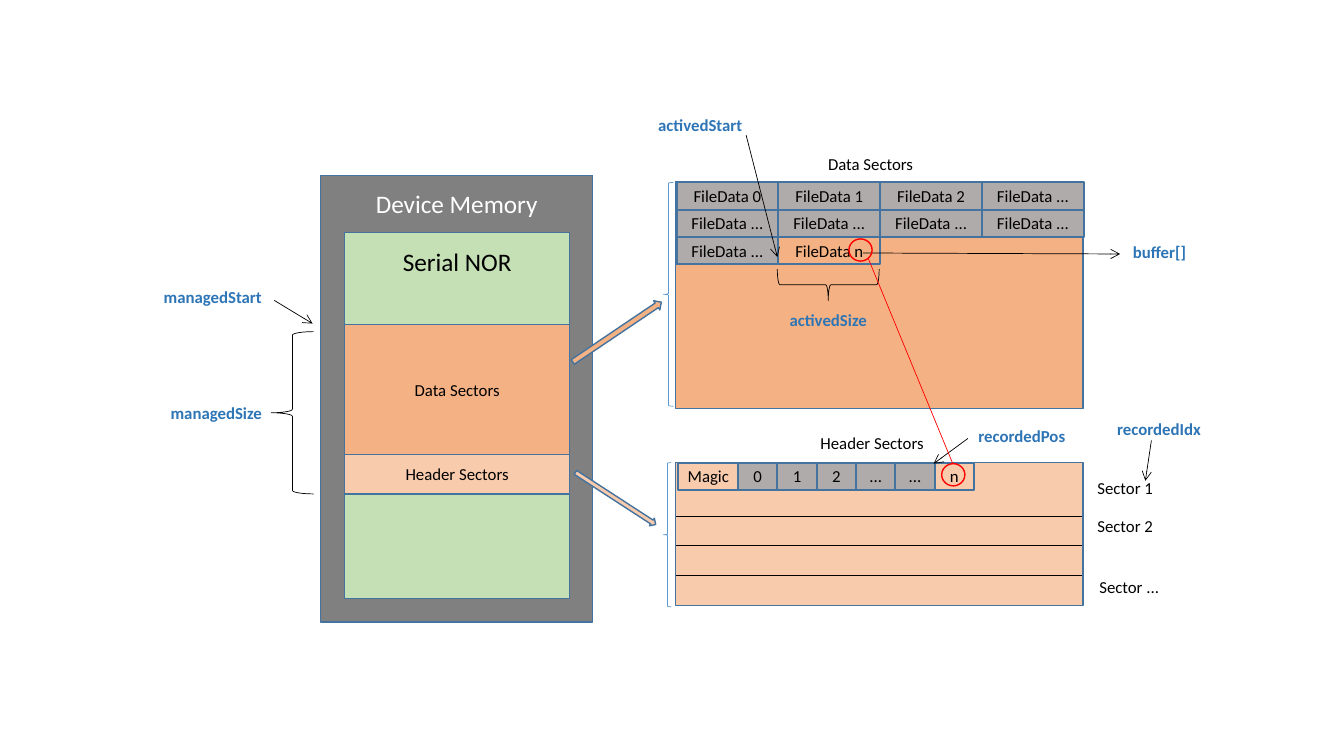
from dataclasses import dataclass

import pptx
import pptx.dml.color
import pptx.enum.shapes
import pptx.enum.text
import pptx.oxml
import pptx.oxml.ns
import pptx.util

Inches = pptx.util.Inches
Pt = pptx.util.Pt
Preset = pptx.enum.shapes.MSO_SHAPE
Anchor = pptx.enum.text.MSO_ANCHOR


@dataclass(frozen=True)
class Theme:
    font: str = "Calibri"
    heading: int = 18
    body: int = 12
    thin: float = 0.5
    medium: float = 1
    thick: float = 1.5
    black: str = "000000"
    white: str = "FFFFFF"
    device: str = "808080"
    flash: str = "C5E0B4"
    data: str = "F4B183"
    header: str = "F8CBAD"
    used: str = "AFABAB"
    border: str = "43739E"
    field: str = "2E75B6"
    span: str = "5B9BD5"
    mark: str = "FF0000"


class Diagram:
    def __init__(self, slide, theme):
        self.slide = slide
        self.theme = theme

    def color(self, value):
        return pptx.dml.color.RGBColor.from_string(value)

    def set_text(self, shape, text, size, color, bold=False, anchor=Anchor.MIDDLE, top=0):
        frame = shape.text_frame
        frame.word_wrap = True
        frame.margin_left = frame.margin_right = frame.margin_bottom = 0
        frame.margin_top = Inches(top)
        frame.vertical_anchor = anchor
        frame.text = text
        paragraph = frame.paragraphs[0]
        paragraph.alignment = pptx.enum.text.PP_ALIGN.CENTER
        for run in paragraph.runs:
            run.font.name = self.theme.font
            run.font.size = Pt(size)
            run.font.bold = bold
            run.font.color.rgb = self.color(color)

    def shape(self, preset, box, fill=None, line=None, width=None, rotation=0):
        shape = self.slide.shapes.add_shape(preset, *map(Inches, box))
        shape.shadow.inherit = False
        shape.rotation = rotation
        if fill:
            shape.fill.solid()
            shape.fill.fore_color.rgb = self.color(fill)
        else:
            shape.fill.background()
        shape.line.color.rgb = self.color(line or self.theme.border)
        shape.line.width = Pt(width or self.theme.medium)
        return shape

    def block(self, box, fill, text=None):
        block = self.shape(Preset.RECTANGLE, box, fill)
        if text:
            self.set_text(block, text, self.theme.body, self.theme.black)

    def container(self, box, fill, heading, color):
        container = self.shape(Preset.RECTANGLE, box, fill)
        self.set_text(container, heading, self.theme.heading, color, anchor=Anchor.TOP, top=0.13)

    def cell(self, box, text, fill=None):
        cell = self.shape(Preset.RECTANGLE, box, fill, width=self.theme.thick)
        self.set_text(cell, text, self.theme.body, self.theme.black)

    def label(self, left, top, width, text, field=False):
        label = self.slide.shapes.add_textbox(*map(Inches, (left, top, width, 0.38)))
        color = self.theme.field if field else self.theme.black
        self.set_text(label, text, self.theme.body, color, field)

    def brace(self, box, color, rotation=0):
        self.shape(Preset.LEFT_BRACE, box, line=color, width=self.theme.thin, rotation=rotation)

    def line(self, start, end, color=None, arrow=False):
        line = self.slide.shapes.add_connector(
            pptx.enum.shapes.MSO_CONNECTOR.STRAIGHT, *map(Inches, start + end))
        line.line.color.rgb = self.color(color or self.theme.black)
        line.line.width = Pt(self.theme.thin)
        properties = line.element.spPr
        namespace = pptx.oxml.ns.nsdecls("a")
        if arrow:
            tail = pptx.oxml.parse_xml(f'<a:tailEnd {namespace} type="arrow"/>')
            properties.find(pptx.oxml.ns.qn("a:ln")).append(tail)
        properties.append(pptx.oxml.parse_xml(f'<a:effectLst {namespace}/>'))


presentation = pptx.Presentation()
presentation.slide_width = Inches(13.33)
presentation.slide_height = Inches(7.5)
theme = Theme()
diagram = Diagram(presentation.slides.add_slide(presentation.slide_layouts[6]), theme)

diagram.container((3.18, 1.74, 2.7, 4.43), theme.device, "Device Memory", theme.white)
diagram.container((3.42, 2.31, 2.23, 3.63), theme.flash, "Serial NOR", theme.black)
diagram.block((3.42, 3.22, 2.23, 1.29), theme.data, "Data Sectors")
diagram.block((3.42, 4.51, 2.23, 0.39), theme.header, "Header Sectors")
diagram.block((6.7, 1.8, 4.04, 2.25), theme.data)
diagram.block((6.7, 4.59, 4.04, 1.42), theme.header)

row_height = 0.27
file_left, file_top, file_width = 6.71, 1.81, 1.01
file_rows = (
    ("FileData 0", "FileData 1", "FileData 2", "FileData ..."),
    ("FileData ...",) * 4,
    ("FileData ...", "FileData n"),
)
for row, files in enumerate(file_rows):
    for column, file in enumerate(files):
        box = (file_left + column * file_width, file_top + row * row_height,
               file_width, row_height)
        diagram.cell(box, file, None if file == "FileData n" else theme.used)

record_left, record_top, record_width = 7.32, 4.59, 0.39
diagram.cell((6.72, record_top, 0.61, row_height), "Magic")
for column, record in enumerate(("0", "1", "2", "...", "...", "n")):
    box = (record_left + column * record_width, record_top, record_width, row_height)
    diagram.cell(box, record, None if record == "n" else theme.used)

for sector_bottom in (5.12, 5.41, 5.71):
    diagram.line((6.7, sector_bottom), (10.73, sector_bottom))

for left, top, width, caption in (
    (8.06, 1.43, 1.15, "Data Sectors"),
    (7.96, 4.2, 1.38, "Header Sectors"),
    (10.74, 4.65, 0.84, "Sector 1"),
    (10.74, 5.03, 0.84, "Sector 2"),
    (10.74, 5.63, 0.92, "Sector ..."),
):
    diagram.label(left, top, width, caption)

for left, top, width, field in (
    (1.5, 2.75, 1.22, "managedStart"),
    (1.57, 3.91, 1.15, "managedSize"),
    (6.37, 1.05, 1.15, "activedStart"),
    (7.64, 2.98, 1.15, "activedSize"),
    (9.56, 4.13, 1.15, "recordedPos"),
    (10.92, 4.06, 1.15, "recordedIdx"),
    (11.09, 2.31, 0.82, "buffer[]"),
):
    diagram.label(left, top, width, field, field=True)

diagram.brace((2.69, 3.29, 0.42, 1.61), theme.black)
diagram.brace((8.06, 2.32, 0.31, 1.01), theme.black, rotation=270)
diagram.brace((6.58, 1.81, 0.1, 2.22), theme.span)
diagram.brace((6.58, 4.59, 0.08, 1.43), theme.span)

diagram.shape(Preset.RIGHT_ARROW, (5.59, 3.24, 1.06, 0.11), theme.data, rotation=326)
diagram.shape(Preset.RIGHT_ARROW, (5.63, 4.9, 0.95, 0.09), theme.header, rotation=33)

for start, end in (
    ((2.72, 2.98), (3.1, 3.21)),
    ((7.4, 1.34), (7.71, 2.55)),
    ((11.42, 4.37), (11.36, 4.77)),
    ((9.6, 4.35), (9.26, 4.6)),
    ((8.56, 2.51), (11.11, 2.52)),
):
    diagram.line(start, end, arrow=True)

for left, top in ((8.42, 2.37), (9.34, 4.6)):
    diagram.shape(Preset.OVAL, (left, top, 0.23, 0.22), line=theme.mark)
diagram.line((8.61, 2.56), (9.45, 4.6), theme.mark)

presentation.save("out.pptx")
